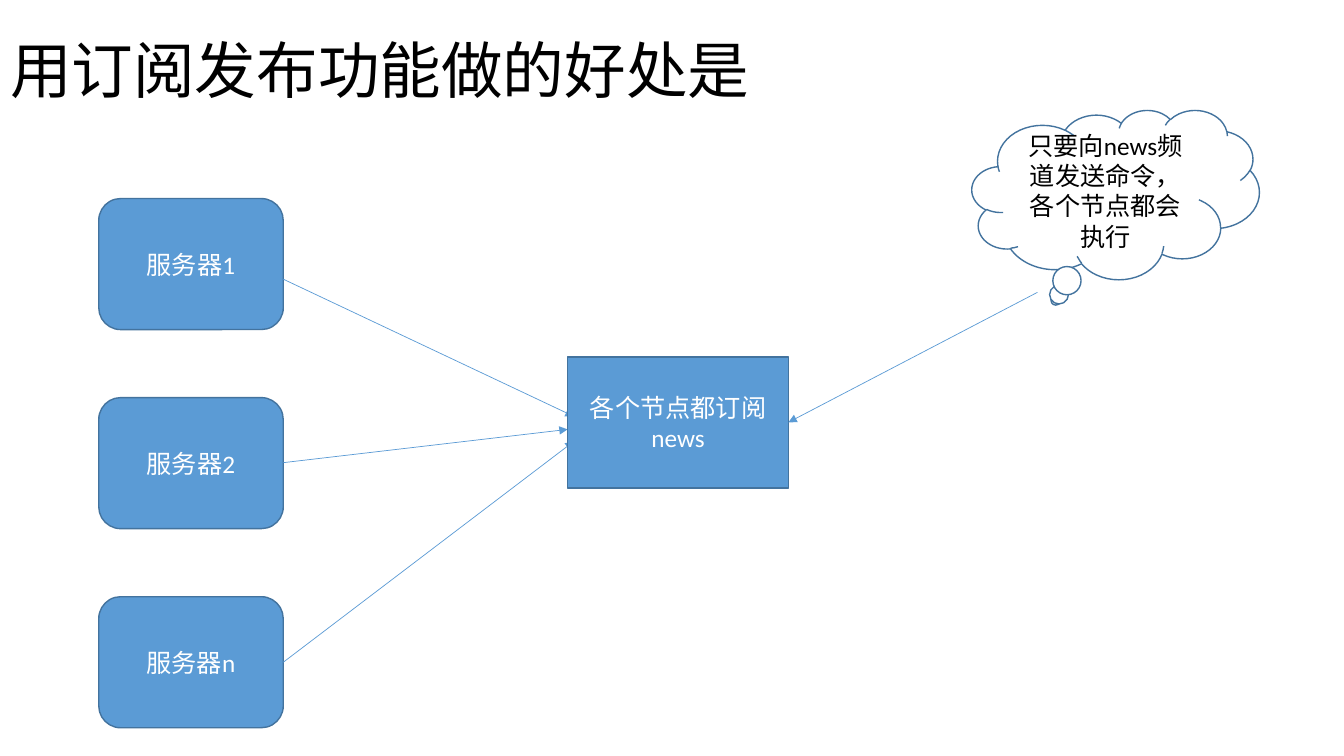
from pptx import Presentation
from pptx import util as u
from pptx.dml.color import RGBColor
from pptx.enum import shapes, text
from pptx.oxml import ns, xmlchemy

BLUE, EDGE, WHITE, BLACK = "5B9BD5", "43739E", "FFFFFF", "000000"

deck = Presentation()
deck.slide_width = u.Inches(13.33)
deck.slide_height = u.Inches(7.5)
page = deck.slides.add_slide(deck.slide_layouts[5])


def add_node(kind, left, top, width, height, words, fill=BLUE, color=WHITE):
    node = page.shapes.add_shape(kind, *map(u.Inches, (left, top, width, height)))
    node.shadow.inherit = False
    node.fill.solid()
    node.fill.fore_color.rgb = RGBColor.from_string(fill)
    node.line.color.rgb = RGBColor.from_string(EDGE)
    node.line.width = u.Pt(1)
    frame = node.text_frame
    frame.word_wrap = True
    frame.vertical_anchor = text.MSO_ANCHOR.MIDDLE
    para = frame.paragraphs[0]
    para.text = words
    para.alignment = text.PP_ALIGN.CENTER
    para.font.name = "Calibri"
    para.font.size = u.Pt(18)
    para.font.color.rgb = RGBColor.from_string(color)


def add_arrow(*ends):
    arrow = page.shapes.add_connector(shapes.MSO_CONNECTOR.STRAIGHT, *map(u.Inches, ends))
    arrow.line.color.rgb = RGBColor.from_string(BLUE)
    arrow.line.width = u.Pt(0.5)
    head = xmlchemy.OxmlElement("a:tailEnd")
    head.set("type", "triangle")
    arrow.line._get_or_add_ln().append(head)
    arrow._element.spPr.append(xmlchemy.OxmlElement("a:effectLst"))


title = page.shapes.title
title.left, title.top = u.Inches(0), u.Inches(0)
title.width, title.height = u.Inches(11.5), u.Inches(1.45)
title.text_frame.vertical_anchor = text.MSO_ANCHOR.MIDDLE
heading = title.text_frame.paragraphs[0]
heading.text = "用订阅发布功能做的好处是"
heading.alignment = text.PP_ALIGN.LEFT
heading.line_spacing = 0.9
heading.font.name = "Calibri"
heading.font.size = u.Pt(44)
heading.font.color.rgb = RGBColor.from_string(BLACK)

for row, number in enumerate("12n"):
    add_node(shapes.MSO_SHAPE.FLOWCHART_ALTERNATE_PROCESS,
             0.98, 1.97 + 1.975 * row, 1.83, 1.3, "服务器" + number)

for start_y, end_x, end_y in [(2.77, 5.69, 4.13), (4.59, 5.63, 4.26), (6.57, 5.69, 4.38)]:
    add_arrow(2.81, start_y, end_x, end_y)

add_node(shapes.MSO_SHAPE.RECTANGLE, 5.63, 3.54, 2.19, 1.3, "各个节点都订阅news")
add_node(shapes.MSO_SHAPE.CLOUD_CALLOUT, 9.64, 1.09, 2.85, 1.68,
         "只要向news频道发送命令，各个节点都会执行", WHITE, BLACK)
add_arrow(10.29, 2.9, 7.82, 4.19)

deck.save("out.pptx")
